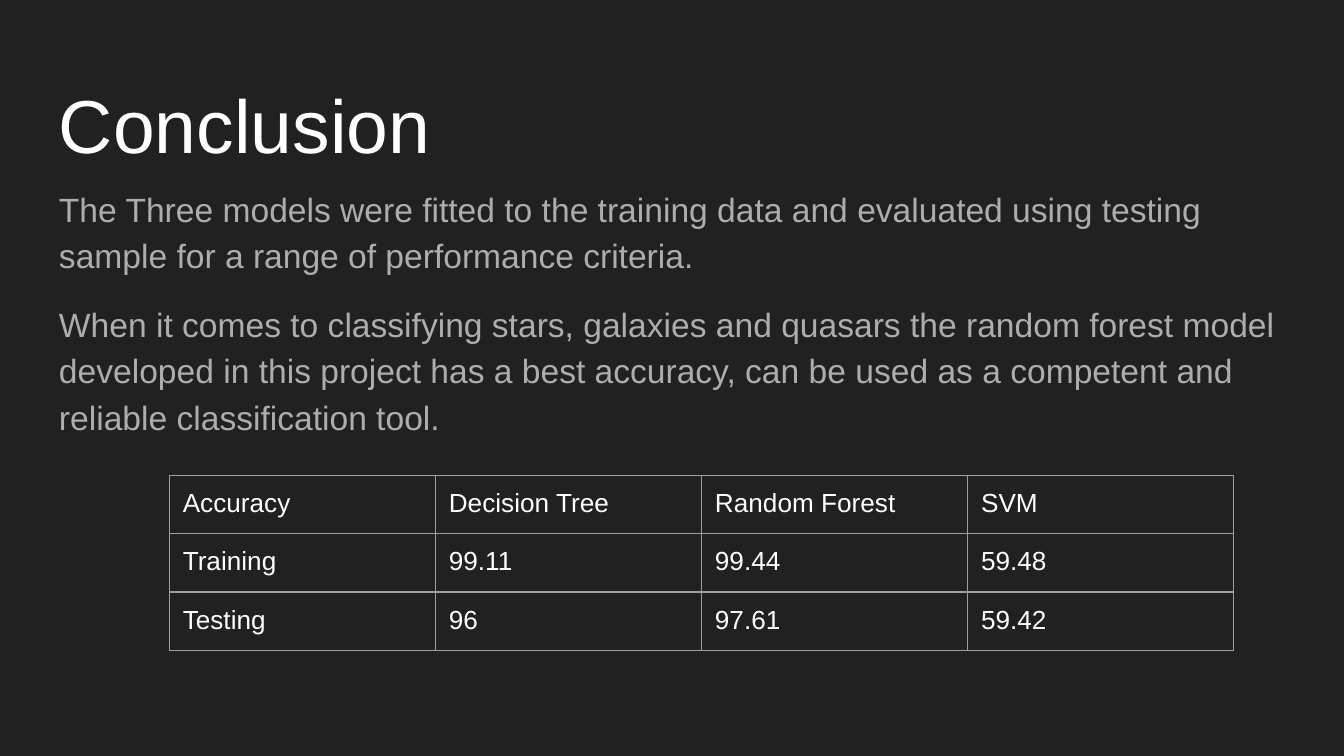
from pptx import Presentation
from pptx.dml.color import RGBColor as Rgb
from pptx.oxml import parse_xml as to_xml
from pptx.oxml.ns import nsdecls
from pptx.util import Inches, Pt

HUES = {"back": "212121", "head": "FFFFFF", "body": "ADADAD", "rule": "9E9E9E"}
WIDE, HIGH = Pt(720), Pt(405)
ROWS = [
    ["Accuracy", "Decision Tree", "Random Forest", "SVM"],
    ["Training", "99.11", "99.44", "59.48"],
    ["Testing", "96", "97.61", "59.42"],
]
TALL = [0, 0.42, 0.42]
BODY = [
    "The Three models were fitted to the training data and evaluated using "
    "testing sample for a range of performance criteria.",
    "When it comes to classifying stars, galaxies and quasars the random forest "
    "model developed in this project has a best accuracy, can be used as a "
    "competent and reliable classification tool.",
]


def hue(name):
    return Rgb.from_string(HUES[name])


def write(frame, *lines, size=14, color="head", lead=None, gap=0):
    for i, line in enumerate(lines):
        para = frame.add_paragraph() if i else frame.paragraphs[0]
        if lead:
            para.line_spacing = lead
        if i:
            para.space_before = Pt(gap)
        run = para.add_run()
        run.text = line
        run.font.name = "Arial"
        run.font.size = Pt(size)
        run.font.color.rgb = hue(color)


class Deck:
    def __init__(self):
        self.show = Presentation()
        self.show.slide_width, self.show.slide_height = WIDE, HIGH
        self.slide = self.show.slides.add_slide(self.show.slide_layouts[6])
        fill = self.slide.background.fill
        fill.solid()
        fill.fore_color.rgb = hue("back")

    def place(self, x, y, w, h):
        wide, high = WIDE / 100, HIGH / 100
        return int(x * wide), int(y * high), int(w * wide), int(h * high)

    def pad(self, item):
        item.margin_left = item.margin_right = Inches(0.1)
        item.margin_top = item.margin_bottom = Inches(0.1)

    def text(self, area, *lines, **style):
        frame = self.slide.shapes.add_textbox(*self.place(*area)).text_frame
        frame.word_wrap = True
        self.pad(frame)
        write(frame, *lines, **style)

    def edge(self, cell):
        props = cell._tc.get_or_add_tcPr()
        for i, side in enumerate(("lnL", "lnR", "lnT", "lnB")):
            props.insert(i, to_xml(
                f'<a:{side} {nsdecls("a")} w="{Pt(0.75)}"><a:solidFill>'
                f'<a:srgbClr val="{HUES["rule"]}"/></a:solidFill></a:{side}>'))

    def table(self, area, rows, tall):
        spot = self.place(*area)
        shape = self.slide.shapes.add_table(len(rows), len(rows[0]), *spot)
        grid = shape.table
        grid.first_row = grid.horz_banding = False
        for r, row in enumerate(rows):
            grid.rows[r].height = Inches(tall[r])
            for c, word in enumerate(row):
                cell = grid.cell(r, c)
                cell.fill.background()
                self.pad(cell)
                self.edge(cell)
                write(cell.text_frame, word)
        shape.height = spot[3]

    def save(self):
        self.show.save("out.pptx")


def main():
    deck = Deck()
    deck.text((3.41, 8.65, 93.18, 11.2), "Conclusion", size=40.2)
    deck.text((3.41, 22.41, 93.18, 66.4), *BODY,
              size=18, color="body", lead=1.15, gap=12)
    deck.table((12.6, 62.88, 79.2, 23.11), ROWS, TALL)
    deck.save()


if __name__ == "__main__":
    main()
